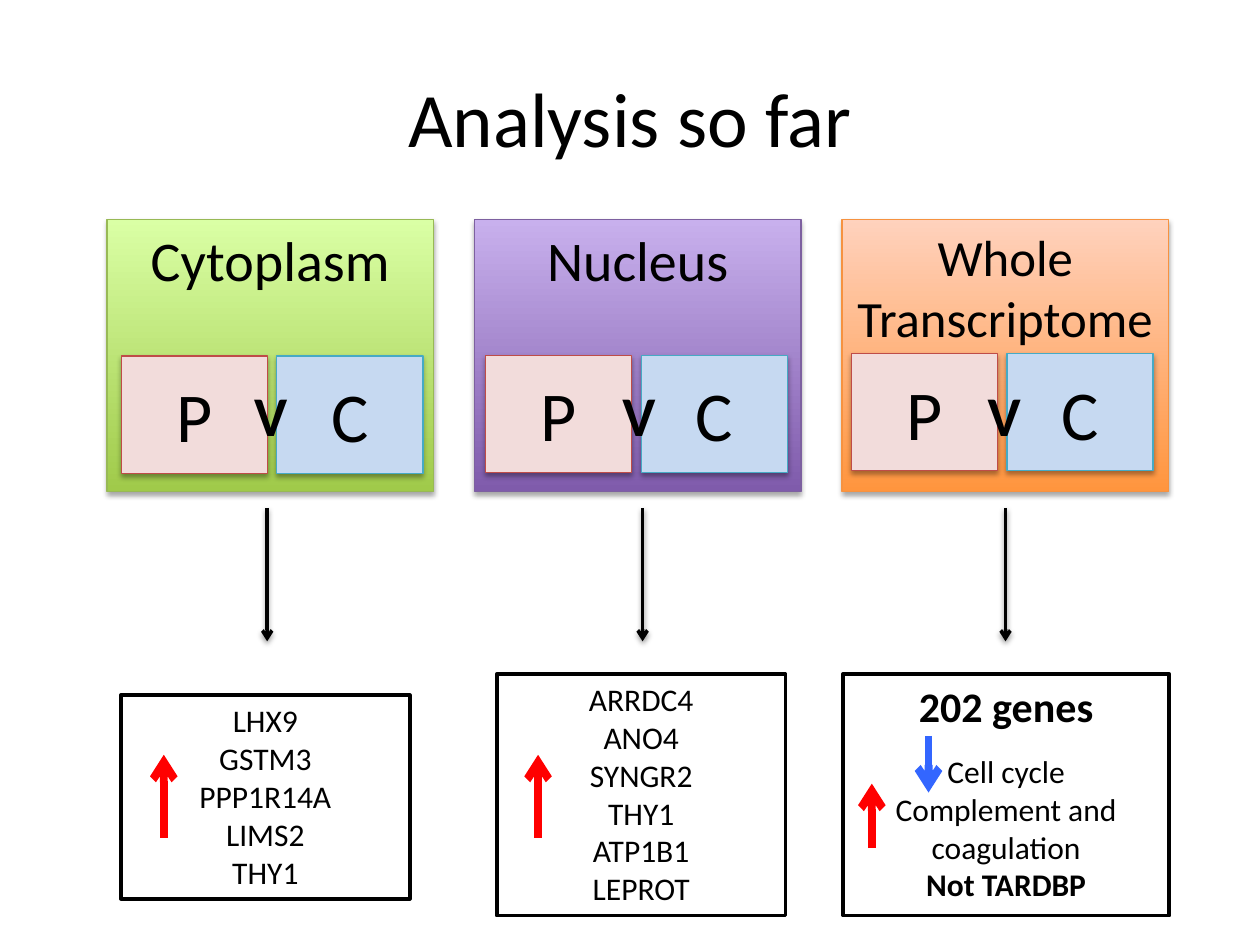
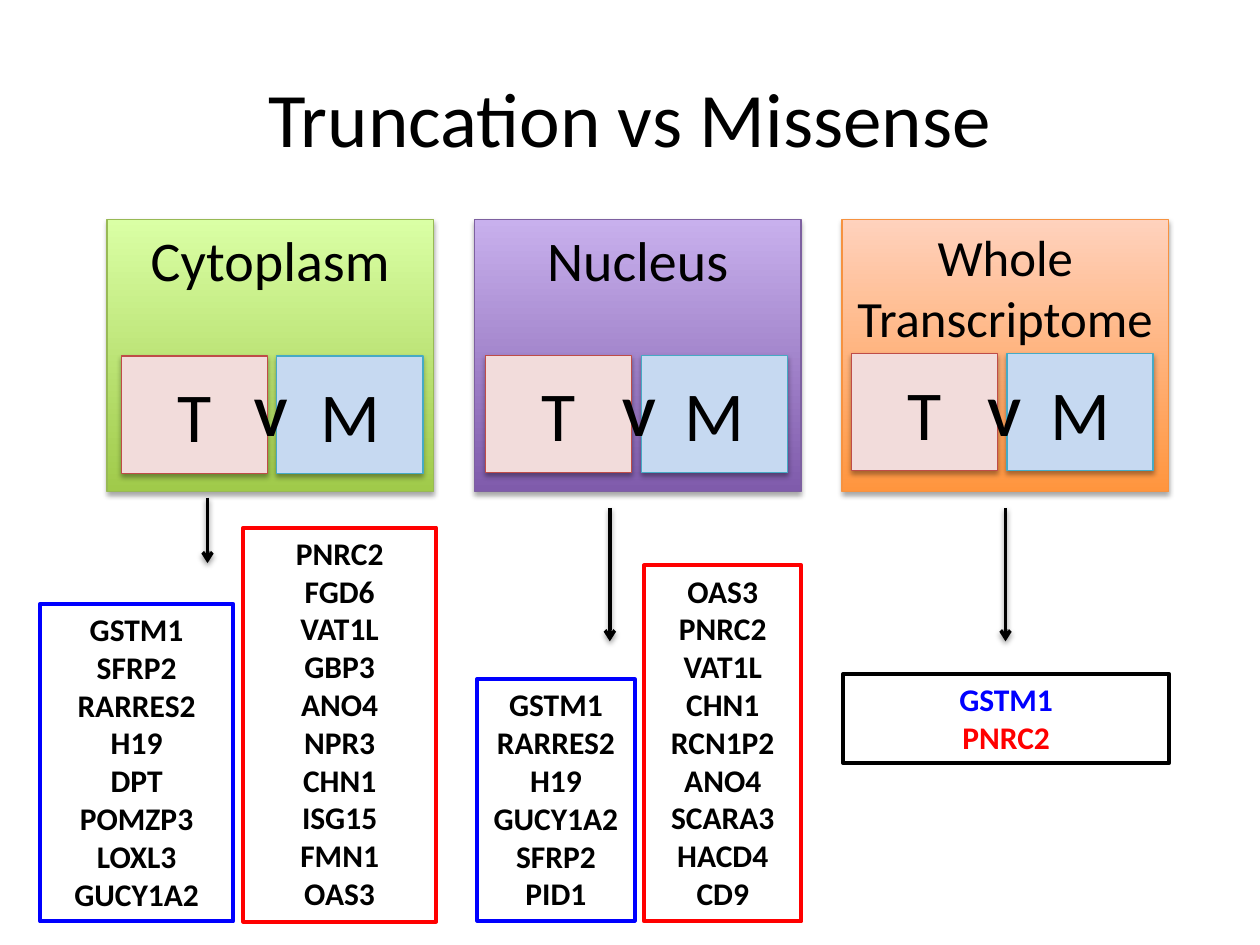
"""Build two slides that compare gene lists across cell compartments."""
from dataclasses import dataclass
from typing import NamedTuple

from lxml import etree
from pptx import Presentation
from pptx.dml.color import RGBColor
from pptx.enum.shapes import MSO_CONNECTOR, MSO_SHAPE
from pptx.enum.text import MSO_ANCHOR, PP_ALIGN
from pptx.oxml.ns import qn
from pptx.util import Pt

RECT = MSO_SHAPE.RECTANGLE
STRAIGHT = MSO_CONNECTOR.STRAIGHT
TOP, MIDDLE = MSO_ANCHOR.TOP, MSO_ANCHOR.MIDDLE
LEFT, CENTER = PP_ALIGN.LEFT, PP_ALIGN.CENTER

BLACK = RGBColor(0x00, 0x00, 0x00)
RED = RGBColor(0xFF, 0x00, 0x00)
BLUE = RGBColor(0x00, 0x00, 0xFF)
SKY = RGBColor(0x33, 0x66, 0xFF)
GREEN_DARK = RGBColor(0xA0, 0xCA, 0x4A)
GREEN_LIGHT = RGBColor(0xDA, 0xFF, 0xA5)
GREEN_LINE = RGBColor(0x98, 0xB9, 0x55)
PURPLE_DARK = RGBColor(0x7F, 0x5B, 0xAB)
PURPLE_LIGHT = RGBColor(0xC8, 0xB0, 0xED)
PURPLE_LINE = RGBColor(0x7D, 0x60, 0xA0)
ORANGE_DARK = RGBColor(0xFF, 0x95, 0x3E)
ORANGE_LIGHT = RGBColor(0xFF, 0xD2, 0xBD)
ORANGE_LINE = RGBColor(0xF6, 0x92, 0x40)
PINK_FILL = RGBColor(0xF2, 0xDC, 0xDB)
PINK_LINE = RGBColor(0xBF, 0x4C, 0x48)
PALE_FILL = RGBColor(0xC6, 0xD9, 0xF1)
PALE_LINE = RGBColor(0x46, 0xAA, 0xC5)

FONT = "Calibri"
PANEL_LEFT, PANEL_TOP, PANEL_W, PANEL_H, PANEL_PITCH = 61.2, 125.3, 186.5, 155.5, 210
TILE_W, TILE_H, TILE_PITCH = 83.5, 67, 88.9
ROW_H, BOX_PAD = 21.8, 7.2


class Line(NamedTuple):
    text: str
    size: float = 18
    bold: bool = False
    color: RGBColor = BLACK
    before: float = 0


@dataclass
class Panel:
    label: str
    size: float
    dark: RGBColor
    light: RGBColor
    outline: RGBColor
    tile_x: float
    tile_y: float
    versus_x: float


@dataclass
class GeneBox:
    x: float
    y: float
    w: float
    lines: list[Line]
    outline: RGBColor = BLACK
    wrapped: int = 0


@dataclass
class Arrow:
    x: float
    start: float
    end: float
    color: RGBColor = BLACK
    width: float = 2
    shadow: bool = True


PANELS = [
    Panel("Cytoplasm", 32, GREEN_DARK, GREEN_LIGHT, GREEN_LINE, 69.3, 203.4, 138.2),
    Panel("Nucleus", 32, PURPLE_DARK, PURPLE_LIGHT, PURPLE_LINE, 277.6, 203, 348.5),
    Panel("Whole Transcriptome", 29, ORANGE_DARK, ORANGE_LIGHT, ORANGE_LINE,
          486.5, 202, 557.3),
]


def genes(names: str, bold: bool = False) -> list[Line]:
    return [Line(name, bold=bold) for name in names.split()]


def red_up(x: float, start: float, end: float) -> Arrow:
    return Arrow(x, start, end, RED, 4.5, False)


def add_shadow(effects, alpha: int, distance: float) -> None:
    shadow = etree.SubElement(
        effects, qn("a:outerShdw"), blurRad=str(Pt(3.1)), dist=str(Pt(distance)),
        dir="5400000", rotWithShape="0")
    color = etree.SubElement(shadow, qn("a:srgbClr"), val=str(BLACK))
    etree.SubElement(color, qn("a:alpha"), val=str(alpha * 1000))


def write(sp, lines: list[Line], align=CENTER, anchor=TOP) -> None:
    tf = sp.text_frame
    tf.word_wrap = True
    tf.vertical_anchor = anchor
    for i, line in enumerate(lines):
        p = tf.add_paragraph() if i else tf.paragraphs[0]
        p.alignment = align
        p.space_before = Pt(line.before)
        r = p.add_run()
        r.text = line.text
        r.font.name = FONT
        r.font.size = Pt(line.size)
        r.font.bold = line.bold
        r.font.color.rgb = line.color


def add_rect(slide, x: float, y: float, w: float, h: float, outline: RGBColor,
             width: float = 0.75, shadow: bool = True):
    sp = slide.shapes.add_shape(RECT, Pt(x), Pt(y), Pt(w), Pt(h))
    sp.line.color.rgb = outline
    sp.line.width = Pt(width)
    sp.shadow.inherit = False
    if shadow:
        add_shadow(sp._element.spPr.find(qn("a:effectLst")), 35, 1.8)
    return sp


def draw_panel(slide, index: int, panel: Panel, pair: str) -> None:
    sp = add_rect(slide, PANEL_LEFT + index * PANEL_PITCH, PANEL_TOP,
                  PANEL_W, PANEL_H, panel.outline)
    sp.fill.gradient()
    sp.fill.gradient_angle = 90
    for stop, color in zip(sp.fill.gradient_stops, (panel.dark, panel.light)):
        stop.color.rgb = color
    write(sp, [Line(panel.label, panel.size)])

    tile_colors = ((PINK_FILL, PINK_LINE), (PALE_FILL, PALE_LINE))
    for i, (letter, (fill, outline)) in enumerate(zip(pair, tile_colors)):
        tile = add_rect(slide, panel.tile_x + i * TILE_PITCH, panel.tile_y,
                        TILE_W, TILE_H, outline)
        tile.fill.solid()
        tile.fill.fore_color.rgb = fill
        write(tile, [Line(letter, 40)], anchor=MIDDLE)

    versus = slide.shapes.add_textbox(Pt(panel.versus_x), Pt(213.8), Pt(35.3), Pt(46))
    write(versus, [Line("V", 32, True)], align=LEFT)


def draw_box(slide, box: GeneBox) -> None:
    height = (len(box.lines) + box.wrapped) * ROW_H + BOX_PAD
    sp = add_rect(slide, box.x, box.y, box.w, height, box.outline, 2.25, False)
    sp.fill.background()
    write(sp, box.lines)


def draw_arrow(slide, arrow: Arrow) -> None:
    sp = slide.shapes.add_connector(
        STRAIGHT, Pt(arrow.x), Pt(arrow.start), Pt(arrow.x), Pt(arrow.end))
    sp.line.color.rgb = arrow.color
    sp.line.width = Pt(arrow.width)
    etree.SubElement(sp.line._get_or_add_ln(), qn("a:tailEnd"), type="arrow")
    effects = etree.SubElement(sp._element.spPr, qn("a:effectLst"))
    if arrow.shadow:
        add_shadow(effects, 38, 1.6)


def build_slide(prs, title: str, pair: str, boxes: list[GeneBox],
                arrows: list[Arrow]) -> None:
    slide = prs.slides.add_slide(prs.slide_layouts[5])
    sp = slide.shapes.title
    sp.left, sp.top, sp.width, sp.height = Pt(36), Pt(21.6), Pt(648), Pt(90)
    write(sp, [Line(title, 44)], anchor=MIDDLE)
    for i, panel in enumerate(PANELS):
        draw_panel(slide, i, panel, pair)
    for box in boxes:
        draw_box(slide, box)
    for arrow in arrows:
        draw_arrow(slide, arrow)


def main() -> None:
    prs = Presentation()
    prs.slide_width, prs.slide_height = Pt(720), Pt(540)

    summary = [
        Line("202 genes", 24, True),
        Line("Cell cycle", before=12.2),
        Line("Complement and coagulation"),
        Line("Not TARDBP", bold=True),
    ]
    build_slide(
        prs, "Analysis so far", "PC",
        [
            GeneBox(69.1, 397.3, 165, genes("LHX9 GSTM3 PPP1R14A LIMS2 THY1")),
            GeneBox(283.9, 385.2, 165, genes("ARRDC4 ANO4 SYNGR2 THY1 ATP1B1 LEPROT")),
            GeneBox(481.7, 385.2, PANEL_W, summary, wrapped=2),
        ],
        [Arrow(x, 290.2, 366.5) for x in (152.7, 367.2, 574.6)]
        + [red_up(93.6, 478.8, 431.3), red_up(307.5, 478.8, 431.3),
           red_up(498.2, 484.6, 447.8), Arrow(530.6, 420.5, 452.9, SKY, 4.5, False)])

    shared = [Line("GSTM1", bold=True, color=BLUE), Line("PNRC2", bold=True, color=RED)]
    build_slide(
        prs, "Truncation vs Missense", "TM",
        [
            GeneBox(23, 345, 110.2, genes(
                "GSTM1 SFRP2 RARRES2 H19 DPT POMZP3 LOXL3 GUCY1A2", True), BLUE),
            GeneBox(139, 301.5, 110.2, genes(
                "PNRC2 FGD6 VAT1L GBP3 ANO4 NPR3 CHN1 ISG15 FMN1 OAS3", True), RED),
            GeneBox(272.7, 388.1, 90, genes(
                "GSTM1 RARRES2 H19 GUCY1A2 SFRP2 PID1", True), BLUE),
            GeneBox(368, 323.1, 90, genes(
                "OAS3 PNRC2 VAT1L CHN1 RCN1P2 ANO4 SCARA3 HACD4 CD9", True), RED),
            GeneBox(481.7, 385.2, PANEL_W, shared),
        ],
        [Arrow(118.6, 284.4, 321.8), Arrow(348.5, 290.2, 366.5),
         Arrow(574.6, 290.2, 366.5)])

    prs.save("out.pptx")


main()
